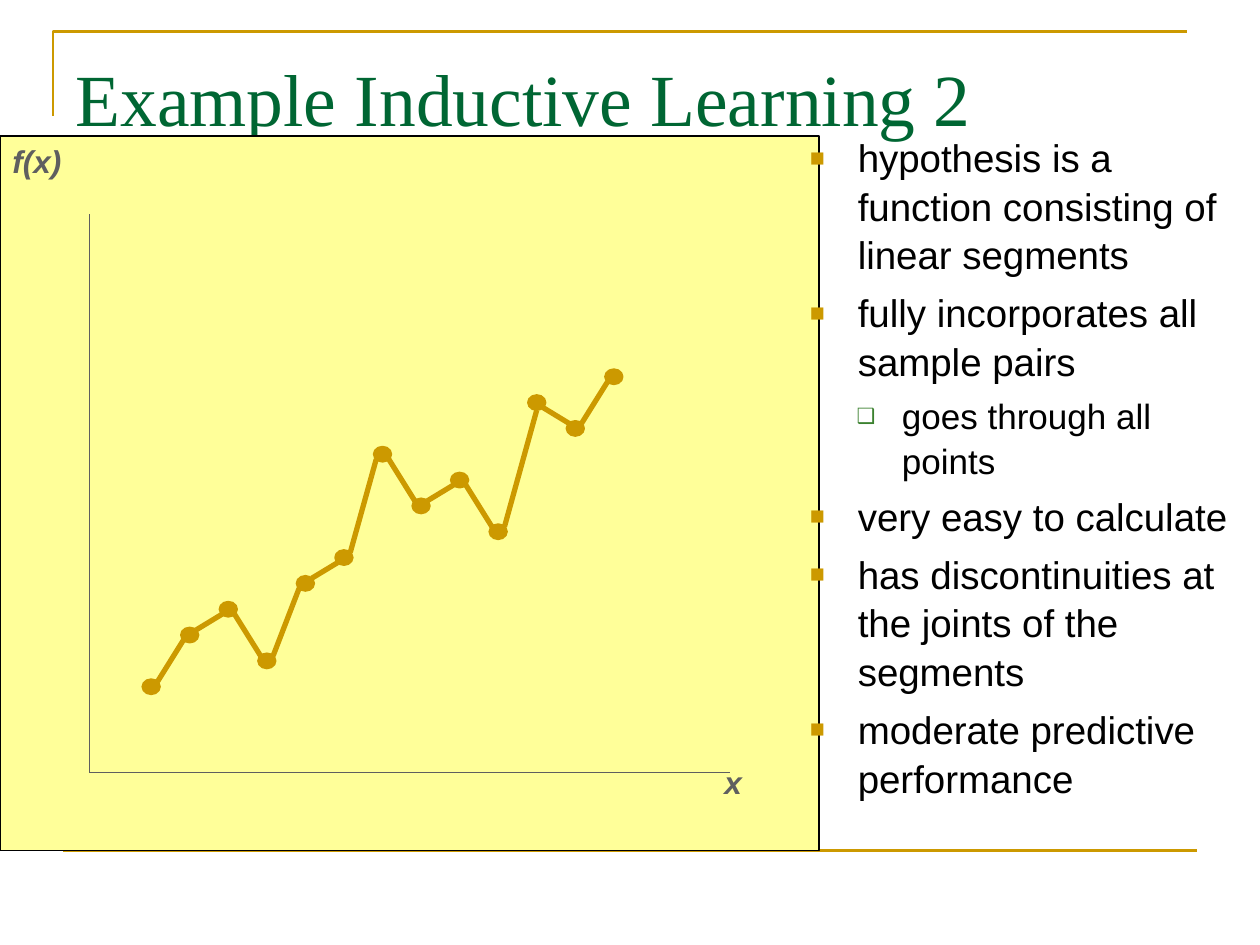
"""Builds a slide on inductive learning with a piecewise linear hypothesis."""
from itertools import pairwise
from lxml import etree
from pptx import Presentation, util as u
from pptx.dml.color import RGBColor
from pptx.enum import shapes, text
from pptx.oxml import ns

GOLD = RGBColor(0xCC, 0x99, 0x00)
GREEN = RGBColor(0x00, 0x66, 0x33)
YELLOW = RGBColor(0xFF, 0xFF, 0x99)
GRAY = RGBColor(0x5F, 0x5F, 0x5F)
BLACK = RGBColor(0, 0, 0)

TITLE = "Example Inductive Learning 2"
POINTS = [
    (0, "hypothesis is a function consisting of linear segments"),
    (0, "fully incorporates all sample pairs"),
    (1, "goes through all points"),
    (0, "very easy to calculate"),
    (0, "has discontinuities at the joints of the segments"),
    (0, "moderate predictive performance"),
]
LEVELS = [
    dict(size=22, before=5.5, left=0.38, hang=0.38, mark="■", color="CC9900", scale=65),
    dict(size=20, before=5, left=0.73, hang=0.36, mark="❑", color="3B812F", scale=60),
]
SAMPLES = [0, 2, 3, 1, 4, 5, 9, 7, 8, 6, 11, 10, 12]
AXIS_LABELS = [("x", 5.65, 6.01, 0.34), ("f(x)", 0, 1.08, 0.59)]
AXES = [(0.71, 1.7, 0.71, 6.13), (0.71, 6.13, 5.79, 6.13)]
FIRST_X, FIRST_Y, STEP_X, STEP_Y = 1.2, 5.45, 0.306, 0.205
DOT_WIDTH, DOT_HEIGHT = 0.14, 0.12
JOINT_X, JOINT_Y = 0.05, 0.04
BOTTOM_JOINT = 10

presentation = Presentation()
presentation.slide_width, presentation.slide_height = u.Inches(10), u.Inches(7.5)
slide = presentation.slides.add_slide(presentation.slide_layouts[5])


def box(*lengths):
    return [u.Inches(length) for length in lengths]


def add_line(x1, y1, x2, y2, color, width):
    line = slide.shapes.add_connector(shapes.MSO_CONNECTOR.STRAIGHT, *box(x1, y1, x2, y2))
    line.line.color.rgb = color
    line.line.width = u.Pt(width)
    etree.SubElement(line._element.spPr, ns.qn("a:effectLst"))


def add_filled(kind, left, top, width, height, fill, outline):
    shape = slide.shapes.add_shape(kind, *box(left, top, width, height))
    shape.shadow.inherit = False
    shape.fill.solid()
    shape.fill.fore_color.rgb = fill
    shape.line.color.rgb = outline
    shape.line.width = u.Pt(1)


def add_run(paragraph, words, font, size, color, strong=False):
    run = paragraph.add_run()
    run.text = words
    run.font.name, run.font.size = font, u.Pt(size)
    run.font.color.rgb = color
    run.font.bold = run.font.italic = strong


def add_bullet(paragraph, level):
    properties = paragraph._p.get_or_add_pPr()
    properties.set("marL", str(u.Inches(level["left"])))
    properties.set("indent", str(-u.Inches(level["hang"])))
    color = etree.SubElement(properties, ns.qn("a:buClr"))
    etree.SubElement(color, ns.qn("a:srgbClr"), val=level["color"])
    etree.SubElement(properties, ns.qn("a:buSzPct"), val=str(level["scale"] * 1000))
    etree.SubElement(properties, ns.qn("a:buFont"), typeface="Arial")
    etree.SubElement(properties, ns.qn("a:buChar"), char=level["mark"])


builder = slide.shapes.build_freeform(*box(0.42, 0.92))
builder.add_line_segments([box(0.42, 0.25), box(9.42, 0.25)], close=False)
corner = builder.convert_to_shape()
corner.shadow.inherit = False
corner.fill.background()
corner.line.color.rgb = GOLD
corner.line.width = u.Pt(1.5)
add_line(0.5, 6.75, 9.5, 6.75, GOLD, 1.5)

title = slide.shapes.title
title.left, title.top, title.width, title.height = box(0.5, 0.3, 9, 1.25)
title.text_frame.vertical_anchor = text.MSO_ANCHOR.TOP
title.text_frame.margin_top = u.Inches(0.12)
title.text_frame.paragraphs[0].alignment = text.PP_ALIGN.LEFT
add_run(title.text_frame.paragraphs[0], TITLE, "Times New Roman", 42, GREEN)

add_filled(shapes.MSO_SHAPE.RECTANGLE, 0, 1.08, 6.5, 5.67, YELLOW, BLACK)
for axis in AXES:
    add_line(*axis, GRAY, 1)
for words, left, top, width in AXIS_LABELS:
    label = slide.shapes.add_textbox(*box(left, top, width, 0.4)).text_frame
    label.word_wrap = False
    add_run(label.paragraphs[0], words, "Arial", 18, GRAY, strong=True)

centers = [(FIRST_X + i * STEP_X, FIRST_Y - sample * STEP_Y) for i, sample in enumerate(SAMPLES)]
for x, y in centers:
    add_filled(shapes.MSO_SHAPE.OVAL, x - DOT_WIDTH / 2, y - DOT_HEIGHT / 2,
               DOT_WIDTH, DOT_HEIGHT, GOLD, GOLD)

body = slide.shapes.add_textbox(*box(6.33, 1, 3.67, 5.7)).text_frame
body.word_wrap = True
for i, (depth, words) in enumerate(POINTS):
    level = LEVELS[depth]
    paragraph = body.add_paragraph() if i else body.paragraphs[0]
    paragraph.level = depth
    paragraph.line_spacing = 1.05
    paragraph.space_before = u.Pt(level["before"])
    add_bullet(paragraph, level)
    add_run(paragraph, words, "Arial", level["size"], BLACK)

for i, ((x1, y1), (x2, y2)) in enumerate(pairwise(centers), start=1):
    rise = JOINT_Y if y2 > y1 else -JOINT_Y
    end = (x2, y2 + DOT_HEIGHT / 2) if i == BOTTOM_JOINT else (x2 - JOINT_X, y2 - rise)
    add_line(x1 + JOINT_X, y1 + rise, *end, GOLD, 3)

presentation.save("out.pptx")
